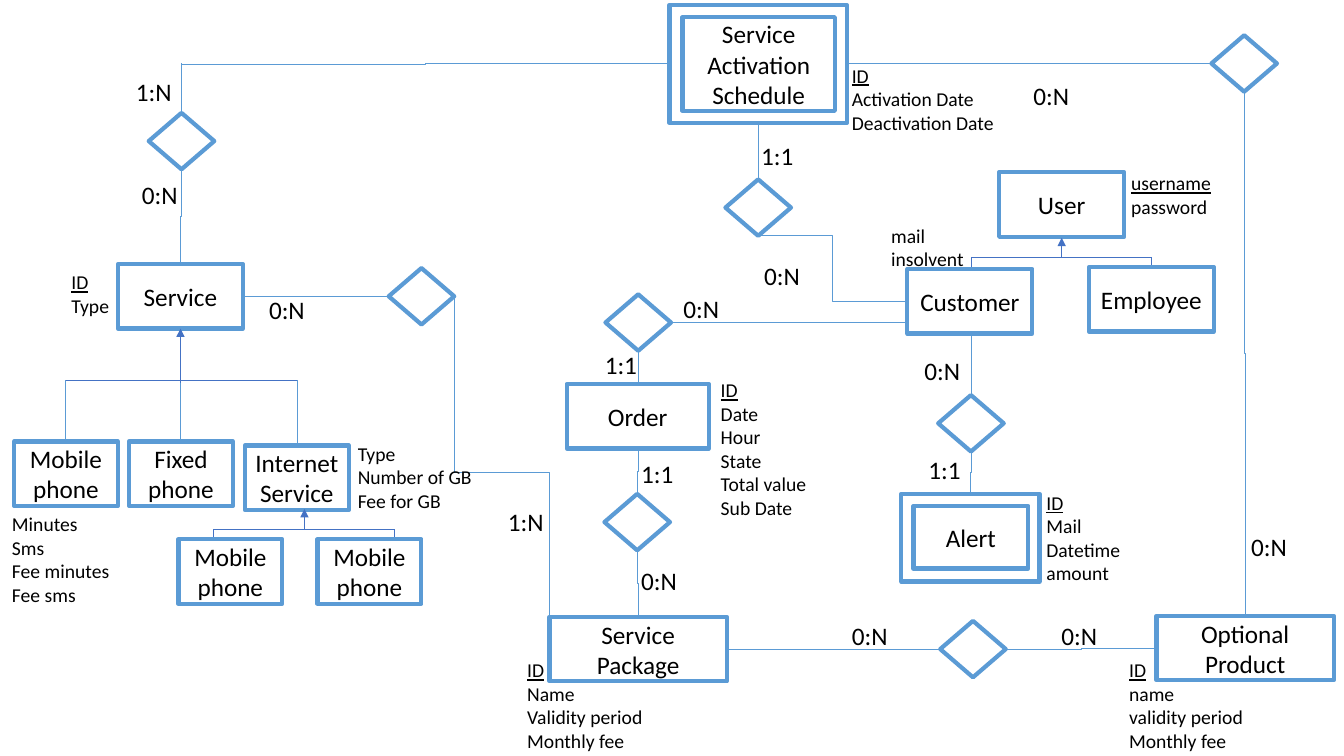
"""Builds an entity-relationship diagram of a service ordering system."""
from dataclasses import dataclass

from lxml import etree
from pptx import Presentation
from pptx.dml.color import RGBColor
from pptx.enum.shapes import MSO_CONNECTOR, MSO_SHAPE
from pptx.enum.text import MSO_ANCHOR, MSO_AUTO_SIZE, PP_ALIGN
from pptx.oxml.ns import qn
from pptx.util import Inches, Pt

STRAIGHT, ELBOW = MSO_CONNECTOR.STRAIGHT, MSO_CONNECTOR.ELBOW
RECTANGLE, DIAMOND = MSO_SHAPE.RECTANGLE, MSO_SHAPE.DIAMOND
MIDDLE, CENTER = MSO_ANCHOR.MIDDLE, PP_ALIGN.CENTER
FIT_TEXT = MSO_AUTO_SIZE.SHAPE_TO_FIT_TEXT


@dataclass(frozen=True)
class Theme:
    font: str = "Calibri"
    name_size: int = 18
    attribute_size: int = 14
    border: float = 3
    thin: float = 0.5
    text: RGBColor = RGBColor(0x00, 0x00, 0x00)
    paper: RGBColor = RGBColor(0xFF, 0xFF, 0xFF)
    relation: RGBColor = RGBColor(0x5B, 0x9B, 0xD5)
    hierarchy: RGBColor = RGBColor(0x44, 0x72, 0xC4)


THEME = Theme()
DIAMOND_W, DIAMOND_H = 0.65, 0.56
LABEL_W, LABEL_H = 0.56, 0.4
PAD_Y, ATTRIBUTE_LINE = 0.1, 0.235

SUBTYPE, REGULAR, WIDE = (1.03, 0.64), (1.24, 0.64), (1.76, 0.64)
ENTITIES = [
    ("Service\nPackage", 5.45, 6.12, WIDE),
    ("Optional\nProduct", 11.47, 6.11, WIDE),
    ("Order", 5.62, 3.81, (1.41, 0.64)),
    ("Customer", 9.0, 2.67, REGULAR),
    ("Employee", 10.8, 2.65, REGULAR),
    ("User", 9.91, 1.71, REGULAR),
    ("Service", 1.17, 2.62, REGULAR),
    ("Mobile\nphone", 0.14, 4.38, SUBTYPE),
    ("Fixed\nphone", 1.28, 4.38, SUBTYPE),
    ("Internet\nService", 2.43, 4.42, SUBTYPE),
    ("Mobile\nphone", 1.77, 5.35, SUBTYPE),
    ("Mobile\nphone", 3.15, 5.35, SUBTYPE),
    ("Service\nActivation\nSchedule", 6.77, 0.17, (1.51, 0.93)),
    ("Alert", 9.06, 5.02, (1.14, 0.62)),
]
WEAK_FRAMES = [(6.64, 0.05, 1.76, 1.17), (8.94, 4.9, 1.37, 0.87)]

RELATION_CENTERS = [
    (9.65, 6.44), (6.32, 5.18), (6.33, 3.2), (12.34, 0.63), (7.52, 2.06),
    (9.63, 4.2), (1.8, 1.4), (4.18, 2.94),
]

CARDINALITIES = [
    ("0:N", 10.43, 6.11), ("0:N", 8.35, 6.11), ("1:1", 6.26, 4.5),
    ("0:N", 6.26, 5.56), ("0:N", 6.68, 2.86), ("1:1", 5.9, 3.42),
    ("0:N", 12.31, 5.22), ("0:N", 10.15, 0.75), ("0:N", 7.48, 2.53),
    ("1:1", 7.45, 1.34), ("1:1", 9.11, 4.46), ("0:N", 9.07, 3.48),
    ("0:N", 1.31, 1.73), ("1:N", 1.25, 0.71), ("0:N", 2.57, 2.87),
    ("1:N", 4.94, 4.97),
]

ATTRIBUTES = [
    (5.13, 6.48, 1.49, "ID", ["Name", "Validity period", "Monthly fee"]),
    (11.1, 6.48, 1.49, "ID", ["name", "validity period", "Monthly fee"]),
    (8.35, 0.58, 1.72, "ID", ["Activation Date", "Deactivation Date"]),
    (7.05, 3.7, 1.72, "ID", ["Date", "Hour", "State", "Total value", "Sub Date"]),
    (10.28, 4.82, 1.72, "ID", ["Mail", "Datetime", "amount"]),
    (0.61, 2.63, 1.72, "ID", ["Type"]),
    (11.12, 1.65, 1.1, "username", ["password"]),
    (8.74, 2.17, 1.1, None, ["mail", "insolvent"]),
    (3.45, 4.33, 1.72, None, ["Type", "Number of GB", "Fee for GB"]),
    (0.02, 5.03, 1.72, None, ["Minutes", "Sms", "Fee minutes", "Fee sms"]),
]

STRAIGHT_LINKS = [
    (7.2, 6.44, 9.33, 6.44), (6.65, 3.2, 9.0, 3.2), (6.33, 3.48, 6.33, 3.81),
    (8.4, 0.63, 12.01, 0.63), (9.63, 3.92, 9.63, 3.31), (2.41, 2.94, 3.86, 2.94),
    (7.52, 1.78, 7.52, 1.22), (1.8, 1.12, 1.8, 0.63), (0.65, 4.38, 0.65, 3.77),
    (1.79, 4.38, 1.79, 3.77), (2.95, 4.42, 2.95, 3.77),
]
SIDEWAYS_ELBOWS = [
    (9.98, 6.44, 11.47, 6.43), (1.8, 0.64, 6.64, 0.63), (9.0, 2.99, 7.52, 2.34),
]
DOWNWARD_ELBOWS = [
    (6.32, 5.46, 6.33, 6.12), (6.33, 4.45, 6.32, 4.9), (12.34, 0.91, 12.35, 6.11),
    (4.51, 2.94, 5.45, 6.44), (1.8, 1.68, 1.79, 2.62), (9.63, 4.48, 9.62, 4.9),
]
HIERARCHY_LINES = [
    (9.63, 2.55, 11.42, 2.55), (9.63, 2.55, 9.63, 2.67), (11.42, 2.55, 11.42, 2.65),
    (0.65, 3.77, 2.95, 3.77),
    (2.12, 5.25, 3.91, 5.25), (2.12, 5.25, 2.12, 5.35), (3.91, 5.25, 3.91, 5.35),
]
HIERARCHY_ARROWS = [
    (10.53, 2.55, 10.53, 2.36), (1.79, 3.8, 1.79, 3.26), (3.02, 5.25, 3.02, 5.05),
]


def link(slide, kind, points, color=THEME.relation):
    connector = slide.shapes.add_connector(kind, *map(Inches, points))
    connector.line.color.rgb = color
    connector.line.width = Pt(THEME.thin)
    etree.SubElement(connector._element.spPr, qn("a:effectLst"))
    return connector


def downward_elbow(slide, points):
    x1, y1, x2, y2 = points
    center_x, center_y = (x1 + x2) / 2, (y1 + y2) / 2
    half_w, half_h = (x2 - x1) / 2, (y2 - y1) / 2
    turned = (center_x + half_h, center_y - half_w, center_x - half_h, center_y + half_w)
    connector = link(slide, ELBOW, turned)
    connector._element.spPr.find(qn("a:xfrm")).set("rot", "16200000")


def arrow(slide, points):
    connector = link(slide, STRAIGHT, points, THEME.hierarchy)
    etree.SubElement(connector.line._get_or_add_ln(), qn("a:tailEnd"), type="triangle")


def outline(slide, kind, x, y, w, h):
    shape = slide.shapes.add_shape(kind, Inches(x), Inches(y), Inches(w), Inches(h))
    shape.shadow.inherit = False
    shape.fill.solid()
    shape.fill.fore_color.rgb = THEME.paper
    shape.line.color.rgb = THEME.relation
    shape.line.width = Pt(THEME.border)
    return shape


def write(frame, lines, size, align=None):
    frame.text = "\n".join(lines)
    for paragraph in frame.paragraphs:
        paragraph.alignment = align
        paragraph.font.name = THEME.font
        paragraph.font.size = Pt(size)
        paragraph.font.color.rgb = THEME.text


def entity(slide, name, x, y, size):
    frame = outline(slide, RECTANGLE, x, y, *size).text_frame
    frame.margin_left = frame.margin_right = 0
    frame.margin_top = frame.margin_bottom = 0
    frame.vertical_anchor = MIDDLE
    write(frame, name.split("\n"), THEME.name_size, CENTER)


def note(slide, x, y, w, h, lines, size, wrap):
    frame = slide.shapes.add_textbox(Inches(x), Inches(y), Inches(w), Inches(h)).text_frame
    frame.word_wrap = wrap
    frame.auto_size = FIT_TEXT
    write(frame, lines, size)
    return frame


def main():
    deck = Presentation()
    deck.slide_width, deck.slide_height = Inches(13.33), Inches(7.5)
    slide = deck.slides.add_slide(deck.slide_layouts[6])
    for points in STRAIGHT_LINKS:
        link(slide, STRAIGHT, points)
    for points in SIDEWAYS_ELBOWS:
        link(slide, ELBOW, points)
    for points in DOWNWARD_ELBOWS:
        downward_elbow(slide, points)
    for points in HIERARCHY_LINES:
        link(slide, STRAIGHT, points, THEME.hierarchy)
    for bounds in WEAK_FRAMES:
        outline(slide, RECTANGLE, *bounds)
    for name, x, y, size in ENTITIES:
        entity(slide, name, x, y, size)
    for x, y in RELATION_CENTERS:
        outline(slide, DIAMOND, x - DIAMOND_W / 2, y - DIAMOND_H / 2, DIAMOND_W, DIAMOND_H)
    for points in HIERARCHY_ARROWS:
        arrow(slide, points)
    for label, x, y in CARDINALITIES:
        note(slide, x, y, LABEL_W, LABEL_H, [label], THEME.name_size, False)
    for x, y, w, key, fields in ATTRIBUTES:
        lines = [key, *fields] if key else fields
        height = PAD_Y + ATTRIBUTE_LINE * len(lines)
        frame = note(slide, x, y, w, height, lines, THEME.attribute_size, True)
        if key:
            frame.paragraphs[0].font.underline = True
    deck.save("out.pptx")


if __name__ == "__main__":
    main()
